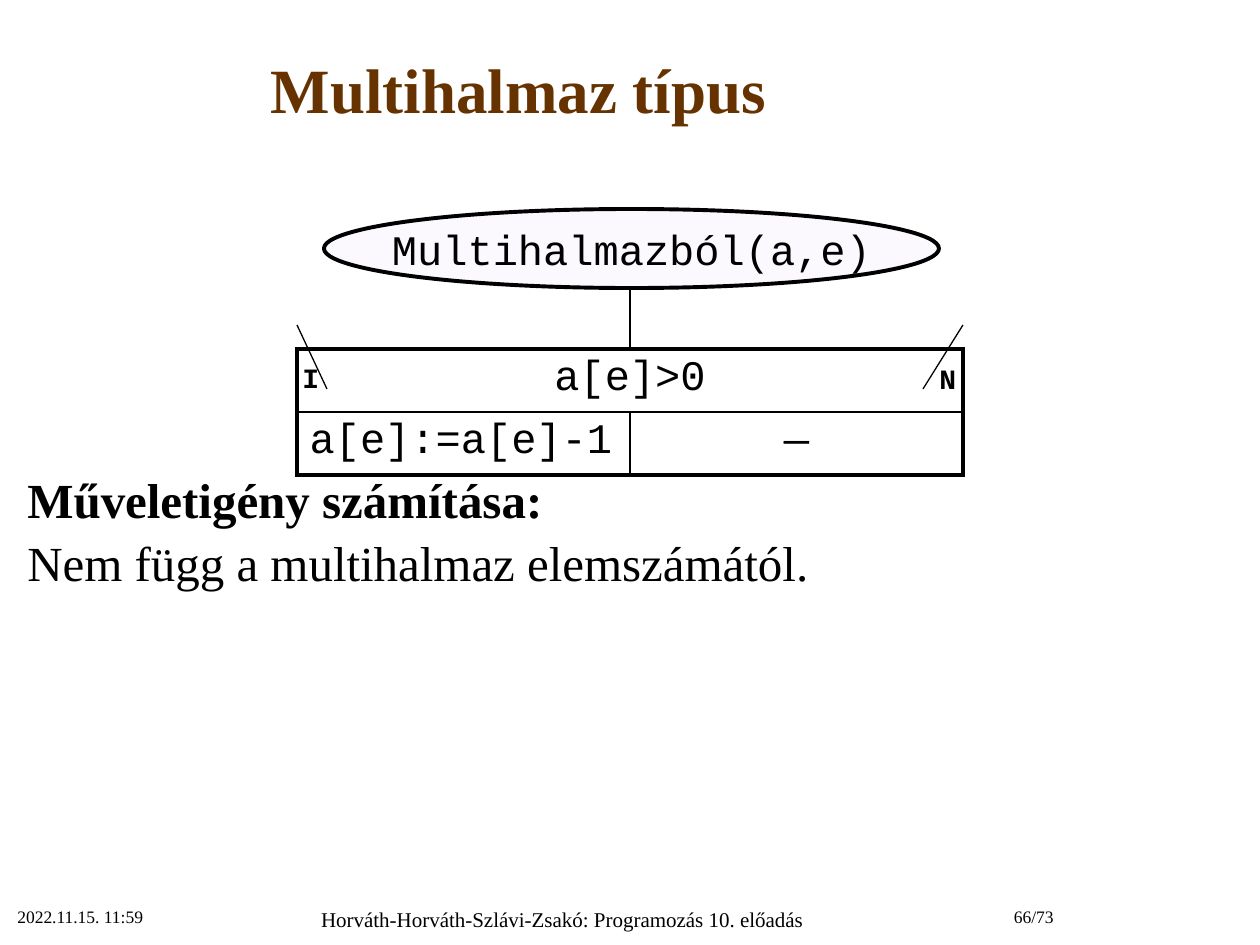
from pptx import Presentation
from pptx.dml.color import RGBColor
from pptx.enum.shapes import MSO_CONNECTOR, MSO_SHAPE
from pptx.enum.text import MSO_ANCHOR, PP_ALIGN
from pptx.oxml.ns import qn
from pptx.util import Pt
from lxml.etree import SubElement

THEME = {
    "serif": "Times New Roman", "mono": "Courier New",
    "title": "663300", "ink": "000000", "oval": "F3E8FE", "oval_alpha": 30,
    "title_size": 36, "body_size": 28, "code_size": 24, "branch_size": 16,
    "footer_size": 12, "small_size": 10,
    "thick": 2.25, "thin": 1, "hair": 0.75,
}
L, C, R = PP_ALIGN.LEFT, PP_ALIGN.CENTER, PP_ALIGN.RIGHT

TITLE = "Multihalmaz típus"
HEADING = "Műveletigény számítása:"
BODY = "Nem függ a multihalmaz elemszámától."
PROCEDURE = "Multihalmazból(a,e)"
CONDITION = "a[e]>0"
ACTIONS = [("a[e]:=a[e]-1", L), ("―", C)]
BRANCHES = [("I", (290, 354, 40, 44)), ("N", (927, 355, 40, 46))]
SLASHES = [((297, 325), (327, 389)), ((963, 325), (923, 389))]
FOOTERS = [
    ("2022.11.15. 11:59", (5, 900, 262, 49), L, "small_size"),
    ("Horváth-Horváth-Szlávi-Zsakó: Programozás 10. előadás",
     (267, 900, 591, 45), C, "footer_size"),
    ("66/73", (906, 900, 160, 49), R, "small_size"),
]
TABLE_AT, COL_W, ROW_H = (297, 286), 333, 63


def px(n):
    return round(n * 914400 / 126)


def box(*lengths):
    return [px(n) for n in lengths]


def rgb(name):
    return RGBColor.from_string(THEME[name])


def write(tf, text, size, font="serif", color="ink", bold=False, align=L,
          before=0, spacing=None, new=False):
    p = tf.add_paragraph() if new else tf.paragraphs[0]
    p.alignment, p.space_before = align, Pt(before)
    if spacing:
        p.line_spacing = Pt(spacing)
    r = p.add_run()
    r.text = text
    r.font.name, r.font.size, r.font.bold = THEME[font], Pt(THEME[size]), bold
    r.font.color.rgb = rgb(color)


def add_text(s, at, text, size, **fmt):
    tf = s.shapes.add_textbox(*box(*at)).text_frame
    tf.word_wrap = True
    write(tf, text, size, **fmt)
    return tf


def set_borders(cell, **widths):
    """Draw the sides named L, R, T, B; a side left out has no line."""
    tcPr = cell._tc.get_or_add_tcPr()
    for side in "LRTB":
        width = THEME[widths[side]] if side in widths else 0
        ln = SubElement(tcPr, qn(f"a:ln{side}"), w=str(Pt(width)))
        if width:
            fill = SubElement(ln, qn("a:solidFill"))
            SubElement(fill, qn("a:srgbClr"), val=THEME["ink"])
        else:
            SubElement(ln, qn("a:noFill"))


def add_structogram(s):
    x, y = TABLE_AT
    table = s.shapes.add_table(3, 2, *box(x, y, 2 * COL_W, 3 * ROW_H)).table
    table.first_row = table.horz_banding = False
    for col in table.columns:
        col.width = px(COL_W)
    for row in table.rows:
        row.height = px(ROW_H)

    stem, cond, action = [[table.cell(i, j) for j in range(2)] for i in range(3)]
    cond[0].merge(cond[1])
    write(cond[0].text_frame, CONDITION, "code_size", font="mono", align=C)
    for cell, (text, align) in zip(action, ACTIONS):
        write(cell.text_frame, text, "code_size", font="mono", align=align)

    set_borders(stem[0], R="thin", B="thick")
    set_borders(stem[1], L="thin", B="thick")
    for cell in cond:
        set_borders(cell, L="thick", R="thick", T="thick", B="thin")
    set_borders(action[0], L="thick", R="thin", T="thin", B="thick")
    set_borders(action[1], L="thin", R="thick", T="thin", B="thick")
    for cell in stem + cond + action:
        cell.fill.background()


def add_oval(s):
    sp = s.shapes.add_shape(MSO_SHAPE.OVAL, *box(324, 209, 615, 79))
    sp.shadow.inherit = False
    sp.fill.solid()
    sp.fill.fore_color.rgb = rgb("oval")
    color = sp._element.spPr.find(".//" + qn("a:srgbClr"))
    SubElement(color, qn("a:alpha"), val=str(THEME["oval_alpha"] * 1000))
    sp.line.color.rgb, sp.line.width = rgb("ink"), Pt(THEME["thick"])
    tf = sp.text_frame
    tf.word_wrap, tf.vertical_anchor = False, MSO_ANCHOR.MIDDLE
    write(tf, PROCEDURE, "code_size", font="mono", align=C, before=5)


def add_line(s, start, end):
    line = s.shapes.add_connector(MSO_CONNECTOR.STRAIGHT, *box(*start, *end))
    line.line.color.rgb, line.line.width = rgb("ink"), Pt(THEME["hair"])
    SubElement(line._element.spPr, qn("a:effectLst"))


def main():
    prs = Presentation()
    prs.slide_width, prs.slide_height = box(1260, 945)
    s = prs.slides.add_slide(prs.slide_layouts[5])

    title = s.shapes.title
    title.left, title.top, title.width, title.height = box(0, 11, 1037, 154)
    title.text_frame.vertical_anchor = MSO_ANCHOR.MIDDLE
    write(title.text_frame, TITLE, "title_size", color="title", bold=True, align=C)

    tf = add_text(s, (15, 195, 1270, 413), HEADING, "body_size", bold=True)
    tf.vertical_anchor, tf.margin_bottom = MSO_ANCHOR.BOTTOM, px(17)
    write(tf, BODY, "body_size", before=6, spacing=30, new=True)

    add_structogram(s)
    add_oval(s)
    for start, end in SLASHES:
        add_line(s, start, end)
    for text, at in BRANCHES:
        add_text(s, at, text, "branch_size", font="mono", bold=True, before=2)
    for text, at, align, size in FOOTERS:
        add_text(s, at, text, size, align=align)

    prs.save("out.pptx")


if __name__ == "__main__":
    main()
